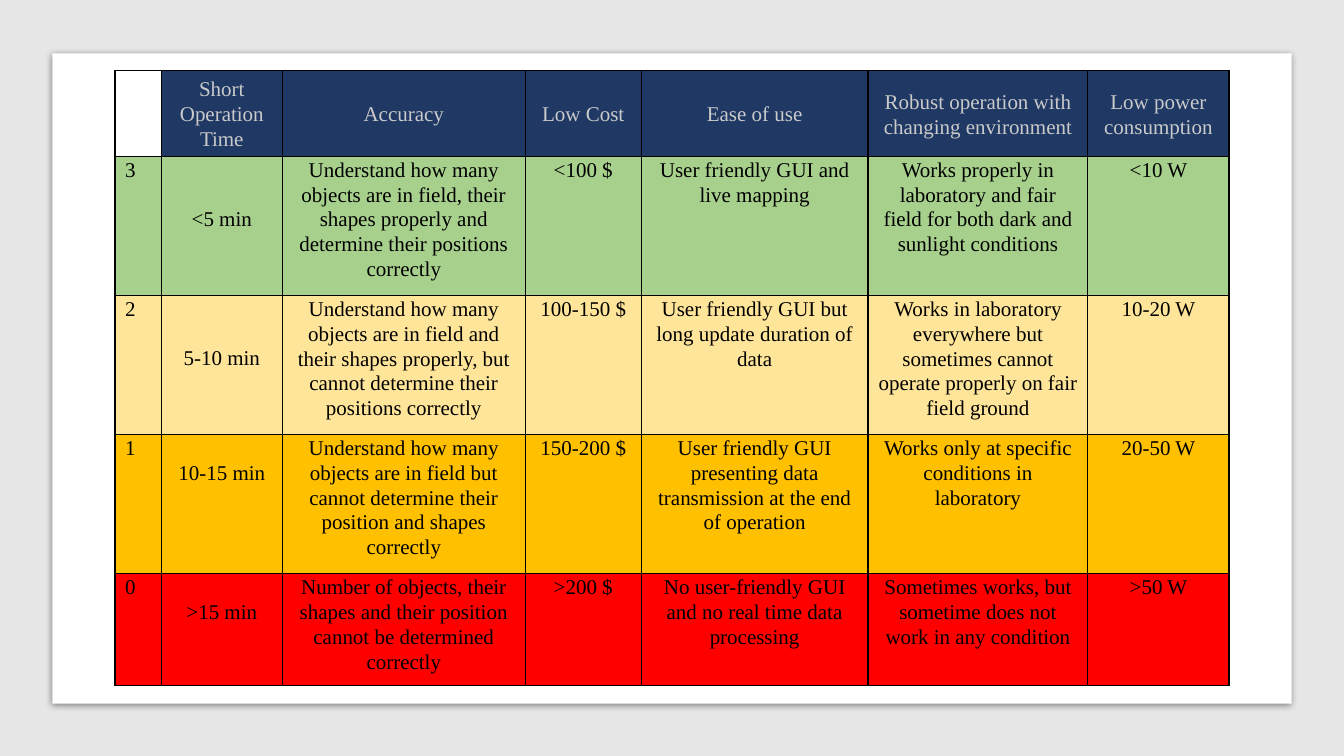
from dataclasses import dataclass

from lxml import etree
from pptx import Presentation
from pptx import util as u
from pptx.dml import color
from pptx.enum import shapes, text
from pptx.oxml import ns


@dataclass(frozen=True)
class Theme:
    font: str = "Times New Roman"
    size: float = 15
    spacing: float = 1.07
    line: float = 0.245  # height of one text line, inches
    rule: float = 1
    back: str = "E7E6E6"
    card: str = "FFFFFF"
    head: str = "1F3864"
    pale: str = "CACACA"
    ink: str = "000000"


THEME = Theme()
WIDTHS = [0.46, 1.2, 2.41, 1.15, 2.25, 2.18, 1.4]
HEIGHTS = [0.85, 1.38, 1.38, 1.38, 1.11]
HEADS = ["", "Short Operation Time", "Accuracy", "Low Cost", "Ease of use",
         "Robust operation with changing environment", "Low power consumption"]

# Each score: fill, lines that its time is moved down, cell texts
SCORES = [
    ("A8D08D", 2, [
        "3", "<5 min",
        "Understand how many objects are in field, their shapes properly and "
        "determine their positions correctly",
        "<100 $", "User friendly GUI and live mapping",
        "Works properly in laboratory and fair field for both dark and "
        "sunlight conditions",
        "<10 W"]),
    ("FFE599", 2, [
        "2", "5-10 min",
        "Understand how many objects are in field and their shapes properly, "
        "but cannot determine their positions correctly",
        "100-150 $", "User friendly GUI but long update duration of data",
        "Works in laboratory everywhere but sometimes cannot operate properly "
        "on fair field ground",
        "10-20 W"]),
    ("FFC000", 1, [
        "1", "10-15 min",
        "Understand how many objects are in field but cannot determine their "
        "position and shapes correctly",
        "150-200 $",
        "User friendly GUI presenting data transmission at the end of operation",
        "Works only at specific conditions in laboratory",
        "20-50 W"]),
    ("FF0000", 1, [
        "0", ">15 min",
        "Number of objects, their shapes and their position cannot be "
        "determined correctly",
        ">200 $", "No user-friendly GUI and no real time data processing",
        "Sometimes works, but sometime does not work in any condition",
        ">50 W"]),
]


def rgb(code):
    return color.RGBColor.from_string(code)


def add(parent, tag, **attrs):
    return etree.SubElement(parent, ns.qn(tag), attrs)


def panel(slide, box, fill):
    rect = slide.shapes.add_shape(shapes.MSO_SHAPE.RECTANGLE, *map(u.Inches, box))
    rect.fill.solid()
    rect.fill.fore_color.rgb = rgb(fill)
    rect.line.fill.background()
    rect.shadow.inherit = False
    return rect


def card(slide, box):
    """White sheet with a soft shadow below it."""
    rect = panel(slide, box, THEME.card)
    effects = rect.element.spPr.find(ns.qn("a:effectLst"))
    shade = add(effects, "a:outerShdw", blurRad=str(u.Pt(5)), dist=str(u.Pt(1.4)),
                dir=str(90 * 60000), algn="t", rotWithShape="0")
    tint = add(shade, "a:srgbClr", val=THEME.ink)
    add(tint, "a:alpha", val="43000")


def frame(cell):
    """Thin rule on all four sides of a cell."""
    props = cell._tc.get_or_add_tcPr()
    for side in ("a:lnL", "a:lnR", "a:lnT", "a:lnB"):
        line = add(props, side, w=str(u.Pt(THEME.rule)))
        add(add(line, "a:solidFill"), "a:srgbClr", val=THEME.ink)


def write(cell, words, ink, align, drop=0):
    """Fill in the text; drop moves it down by whole lines."""
    cell.margin_left = cell.margin_right = u.Inches(0.1)
    cell.margin_top = u.Inches(0.01 + drop * THEME.line)
    cell.margin_bottom = 0
    para = cell.text_frame.paragraphs[0]
    para.alignment = align
    para.line_spacing = THEME.spacing
    run = para.add_run()
    run.text = words
    run.font.name = THEME.font
    run.font.size = u.Pt(THEME.size)
    run.font.color.rgb = rgb(ink)


def paint(cell, fill):
    cell.fill.solid()
    cell.fill.fore_color.rgb = rgb(fill)


def rubric(slide, left, top):
    """Score table: one header row, then one row a score."""
    box = (left, top, sum(WIDTHS), sum(HEIGHTS))
    table = slide.shapes.add_table(len(HEIGHTS), len(WIDTHS),
                                   *map(u.Inches, box)).table
    table.first_row = table.horz_banding = False
    for col, width in zip(table.columns, WIDTHS):
        col.width = u.Inches(width)
    for row, height in zip(table.rows, HEIGHTS):
        row.height = u.Inches(height)
    for cell in table.iter_cells():
        frame(cell)

    # Header row, with an empty corner
    table.cell(0, 0).fill.background()
    for c, words in enumerate(HEADS[1:], 1):
        cell = table.cell(0, c)
        write(cell, words, THEME.pale, text.PP_ALIGN.CENTER)
        cell.vertical_anchor = text.MSO_ANCHOR.MIDDLE
        paint(cell, THEME.head)

    # Score rows
    for r, (fill, drop, words) in enumerate(SCORES, 1):
        for c, entry in enumerate(words):
            cell = table.cell(r, c)
            align = text.PP_ALIGN.CENTER if c else text.PP_ALIGN.LEFT
            write(cell, entry, THEME.ink, align, drop if c == 1 else 0)
            paint(cell, fill)


def main():
    deck = Presentation()
    deck.slide_width, deck.slide_height = u.Inches(13.33), u.Inches(7.5)
    slide = deck.slides.add_slide(deck.slide_layouts[6])
    panel(slide, (0, 0, 13.33, 7.5), THEME.back)
    card(slide, (0.52, 0.53, 12.29, 6.45))
    rubric(slide, 1.14, 0.7)
    deck.save("out.pptx")


if __name__ == "__main__":
    main()
